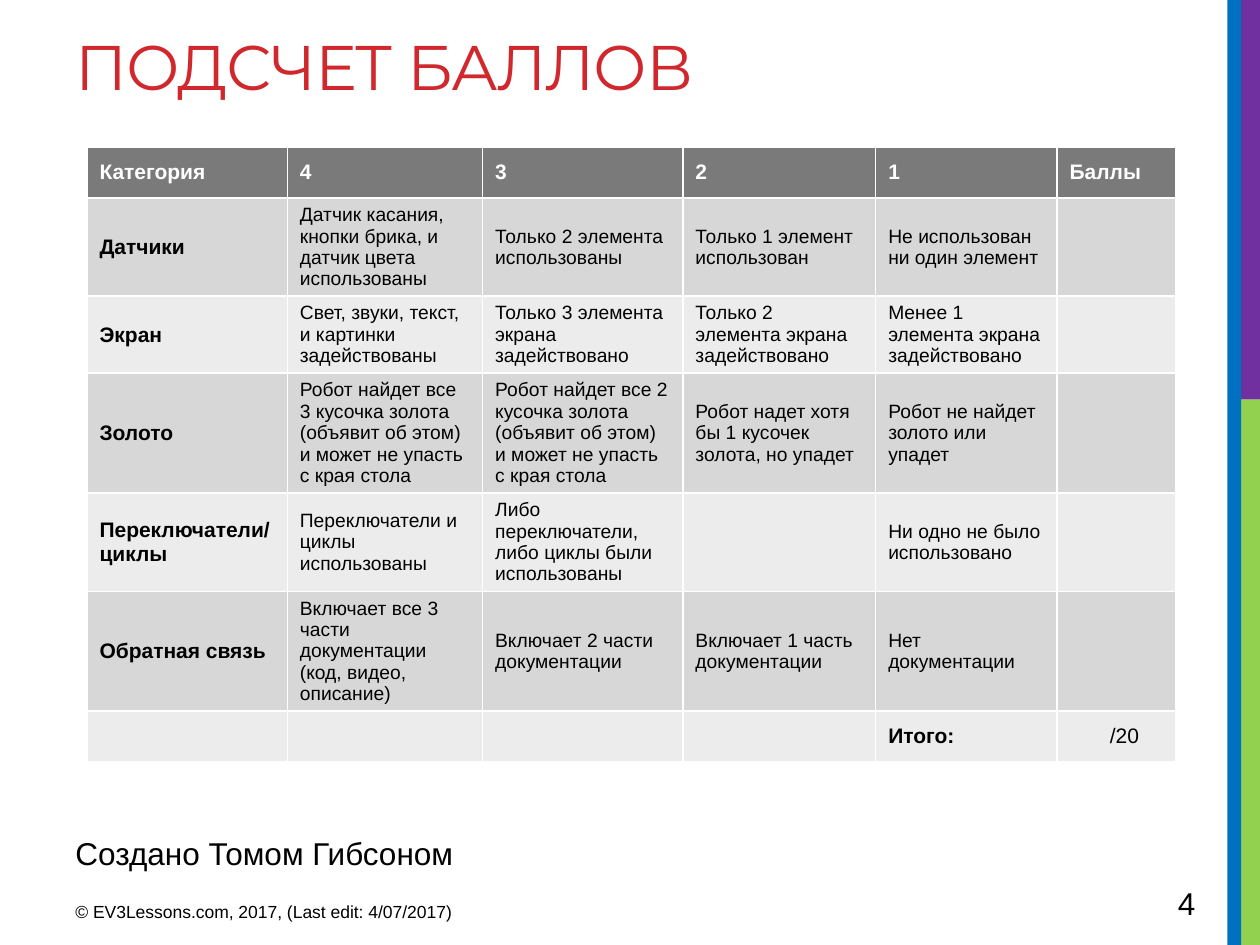
import pptx
import pptx.dml.color
import pptx.enum.shapes
import pptx.enum.text
import pptx.util

Inches = pptx.util.Inches
Pt = pptx.util.Pt

COLORS = {
    "red": "D1282E", "blue": "0070C0", "green": "92D050", "purple": "7030A0",
    "header": "7A7A7A", "dark_band": "D7D7D7", "light_band": "ECECEC",
    "white": "FFFFFF", "black": "000000",
}
SIDE_BARS = [
    ("green", 9.84, 3.17, 0.16, 4.33),
    ("purple", 9.8, 0, 0.2, 3.17),
    ("blue", 9.74, 0, 0.11, 7.5),
]
COLUMN_WIDTHS = [1.59, 1.55, 1.59, 1.53, 1.44, 0.94]
ROW_HEIGHTS = [0.4, 0.78, 0.61, 0.95, 0.78, 0.95, 0.4]
RUBRIC = [
    ["Категория", "4", "3", "2", "1", "Баллы"],
    ["Датчики", "Датчик касания, кнопки брика, и датчик цвета использованы",
     "Только 2 элемента использованы", "Только 1 элемент использован",
     "Не использован ни один элемент", ""],
    ["Экран", "Свет, звуки, текст, и картинки задействованы",
     "Только 3 элемента экрана задействовано",
     "Только 2 элемента экрана задействовано",
     "Менее 1 элемента экрана задействовано", ""],
    ["Золото",
     "Робот найдет все 3 кусочка золота (объявит об этом) и может не упасть с края стола",
     "Робот найдет все 2 кусочка золота (объявит об этом) и может не упасть с края стола",
     "Робот надет хотя бы 1 кусочек золота, но упадет",
     "Робот не найдет золото или упадет", ""],
    ["Переключатели/\vциклы", "Переключатели и циклы использованы",
     "Либо переключатели, либо циклы были использованы", "",
     "Ни одно не было использовано", ""],
    ["Обратная связь", "Включает все 3 части документации (код, видео, описание)",
     "Включает 2 части документации", "Включает 1 часть документации",
     "Нет документации", ""],
    ["", "", "", "", "Итого:", "/20"],
]


def rgb(name):
    return pptx.dml.color.RGBColor.from_string(COLORS[name])


def style_runs(paragraph, size, color="black", bold=False, face="Arial"):
    for run in paragraph.runs:
        run.font.size = Pt(size)
        run.font.name = face
        run.font.bold = bold
        run.font.color.rgb = rgb(color)


def add_side_bar(slide, color, left, top, width, height):
    bar = slide.shapes.add_shape(
        pptx.enum.shapes.MSO_SHAPE.RECTANGLE,
        Inches(left), Inches(top), Inches(width), Inches(height))
    bar.shadow.inherit = False
    bar.fill.solid()
    bar.fill.fore_color.rgb = rgb(color)
    bar.line.fill.background()


def set_title(slide, text):
    title = slide.shapes.title
    title.left, title.top = Inches(0.5), Inches(0.17)
    title.width, title.height = Inches(9.02), Inches(1.5)
    frame = title.text_frame
    frame.text = text
    frame.auto_size = pptx.enum.text.MSO_AUTO_SIZE.NONE
    frame.vertical_anchor = pptx.enum.text.MSO_ANCHOR.TOP
    heading = frame.paragraphs[0]
    heading.alignment = pptx.enum.text.PP_ALIGN.LEFT
    style_runs(heading, 36, "red", face="Montserrat")
    heading.runs[0].font._element.set("spc", "-60")


def add_label(slide, text, left, top, width, height, size):
    label = slide.shapes.add_textbox(
        Inches(left), Inches(top), Inches(width), Inches(height))
    label.text_frame.word_wrap = True
    label.text_frame.text = text
    style_runs(label.text_frame.paragraphs[0], size)


def fill_cell(cell, text, row, column):
    """Format a cell by its role: header, category name, description or total."""
    is_header = row == 0
    is_total = row == len(RUBRIC) - 1
    cell.text = text
    cell.vertical_anchor = pptx.enum.text.MSO_ANCHOR.MIDDLE
    band = "header" if is_header else "dark_band" if row % 2 else "light_band"
    cell.fill.solid()
    cell.fill.fore_color.rgb = rgb(band)
    is_strong = is_header or column == 0 or is_total
    style_runs(cell.text_frame.paragraphs[0], 12 if is_strong else 11,
               "white" if is_header else "black",
               bold=is_strong and text != "/20")


def add_rubric(slide):
    rubric = slide.shapes.add_table(
        len(RUBRIC), len(COLUMN_WIDTHS), Inches(0.69), Inches(1.17),
        Inches(sum(COLUMN_WIDTHS)), Inches(sum(ROW_HEIGHTS))).table
    for column, width in zip(rubric.columns, COLUMN_WIDTHS):
        column.width = Inches(width)
    for row, height in zip(rubric.rows, ROW_HEIGHTS):
        row.height = Inches(height)
    for r, texts in enumerate(RUBRIC):
        for c, text in enumerate(texts):
            fill_cell(rubric.cell(r, c), text, r, c)
    rubric.cell(len(RUBRIC) - 1, len(COLUMN_WIDTHS) - 1).margin_left = Inches(0.42)


def main():
    deck = pptx.Presentation()
    deck.slide_width, deck.slide_height = Inches(10), Inches(7.5)
    slide = deck.slides.add_slide(deck.slide_layouts[5])
    for bar in SIDE_BARS:
        add_side_bar(slide, *bar)
    add_rubric(slide)
    set_title(slide, "ПОДСЧЕТ БАЛЛОВ")
    add_label(slide, "© EV3Lessons.com, 2017, (Last edit: 4/07/2017)",
              0.5, 7.1, 3.75, 0.31, 10)
    add_label(slide, "4", 9.25, 6.97, 0.69, 0.4, 18)
    add_label(slide, "Создано Томом Гибсоном", 0.5, 6.57, 6.99, 0.4, 18)
    deck.save("out.pptx")


if __name__ == "__main__":
    main()
